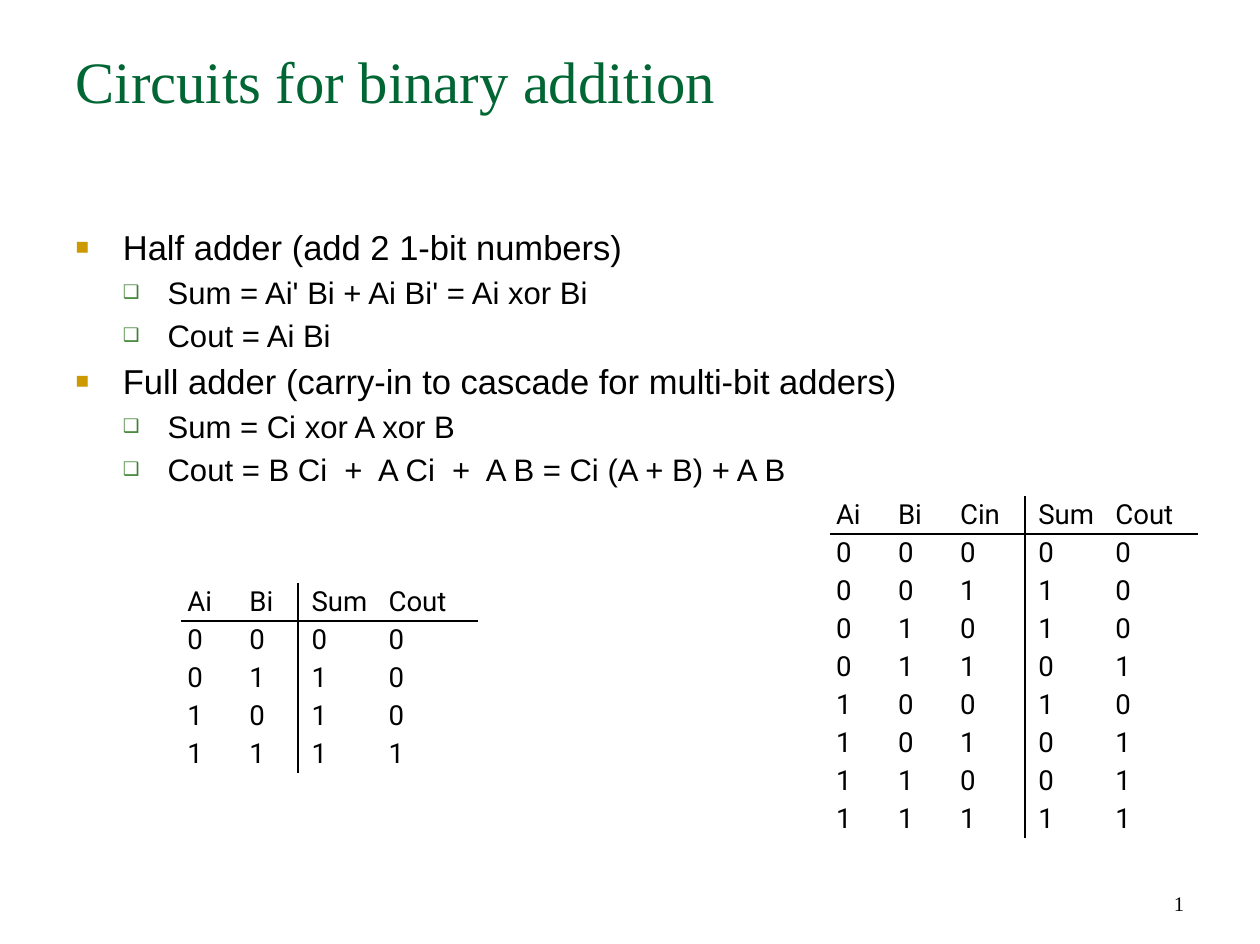
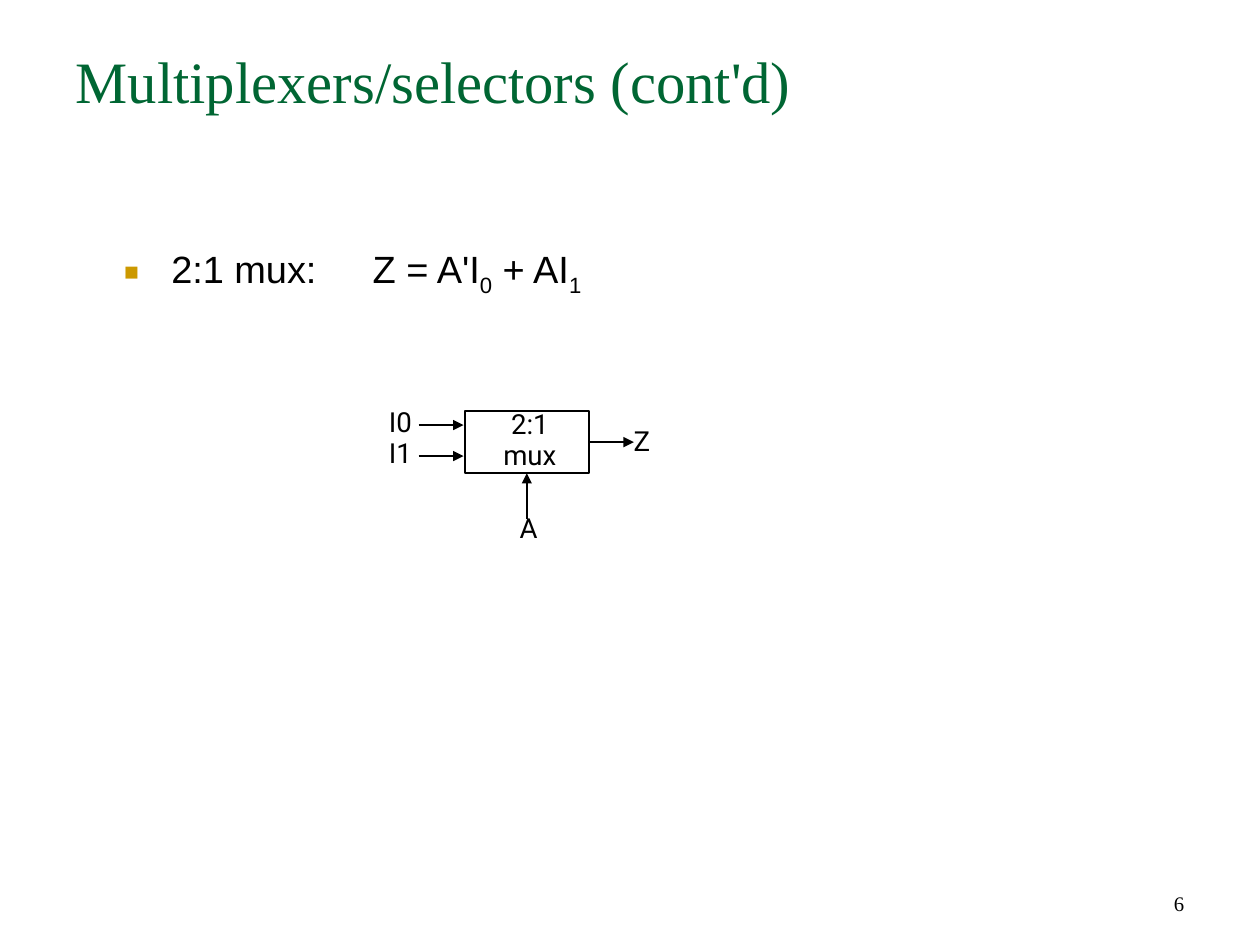
from dataclasses import dataclass
from itertools import cycle

from pptx import Presentation
from pptx.dml.color import RGBColor
from pptx.enum.shapes import MSO_CONNECTOR as Connector, MSO_SHAPE as Shape
from pptx.enum.text import MSO_ANCHOR as Anchor, MSO_AUTO_SIZE as AutoSize, PP_ALIGN as Align
from pptx.oxml.ns import qn
from pptx.oxml.xmlchemy import OxmlElement
from pptx.util import Inches, Pt


@dataclass(frozen=True)
class Theme:
    ink: str = "000000"
    green: str = "006633"
    bullets: tuple = (("■", "CC9900", 65000), ("❑", "3B812F", 60000))
    indents: tuple = ((0.38, 0.38), (0.74, 0.36))
    serif: str = "Times New Roman"
    sans: str = "Arial"
    diagram: str = "Roboto"
    title_size: int = 34
    number_size: int = 12
    point_sizes: tuple = (20, 18)
    equation_size: int = 22
    diagram_size: int = 16
    rule: float = 1


theme = Theme()
deck = Presentation()
deck.slide_width, deck.slide_height = Inches(10.14), Inches(7.6)


def place(*percents):
    sides = cycle((deck.slide_width, deck.slide_height))
    return [round(side * percent / 100) for percent, side in zip(percents, sides)]


def write(frame, text, font, size, color=theme.ink, align=Align.LEFT, inset=(0, 0)):
    frame.text = text
    frame.word_wrap = True
    frame.auto_size = AutoSize.NONE
    frame.margin_left = frame.margin_right = Inches(inset[0])
    frame.margin_top = frame.margin_bottom = Inches(inset[1])
    for paragraph in frame.paragraphs:
        paragraph.alignment = align
        for run in paragraph.runs:
            run.font.name, run.font.size = font, Pt(size)
            run.font.color.rgb = RGBColor.from_string(color)


PADDING = (0.1, 0.05)
main_size, detail_size = theme.point_sizes
pages = [
    ("Circuits for binary addition", "1", (5.03, 23.29), [
        (0, main_size, "Half adder (add 2 1-bit numbers)"),
        (1, detail_size, "Sum = Ai' Bi + Ai Bi' = Ai xor Bi"),
        (1, detail_size, "Cout = Ai Bi"),
        (0, main_size, "Full adder (carry-in to cascade for multi-bit adders)"),
        (1, detail_size, "Sum = Ci xor A xor B"),
        (1, detail_size, "Cout = B Ci  +  A Ci  +  A B = Ci (A + B) + A B"),
    ]),
    ("Multiplexers/selectors (cont'd)", "6", (8.88, 25.39), [
        (0, theme.equation_size, "2:1 mux:\tZ = A'I"),
    ]),
]

slides = []
for heading, number, corner, points in pages:
    slide = deck.slides.add_slide(deck.slide_layouts[5])
    slides.append(slide)
    title = slide.shapes.title
    title.left, title.top, title.width, title.height = place(5.03, 4.08, 89.94, 16.58)
    write(title.text_frame, heading, theme.serif, theme.title_size, theme.green, inset=PADDING)
    title.text_frame.vertical_anchor = Anchor.TOP

    footer = slide.shapes.add_textbox(*place(71.6, 90.95, 23.37, 6.71)).text_frame
    write(footer, number, theme.serif, theme.number_size, align=Align.RIGHT, inset=PADDING)
    footer.vertical_anchor = Anchor.BOTTOM

    body = slide.shapes.add_textbox(*place(*corner, 89.94, 66.05)).text_frame
    write(body, "\n".join(text for _, _, text in points), theme.sans, main_size, inset=PADDING)
    for index, (paragraph, (level, size, _)) in enumerate(zip(body.paragraphs, points)):
        paragraph.level = level
        paragraph.space_before = Pt(0.19 * size if index else 0)
        mark, mark_color, mark_size = theme.bullets[level]
        margin, hanging = theme.indents[level]
        properties = paragraph._p.get_or_add_pPr()
        properties.set("marL", str(Inches(margin)))
        properties.set("indent", str(-Inches(hanging)))
        color = OxmlElement("a:buClr")
        rgb = OxmlElement("a:srgbClr")
        rgb.set("val", mark_color)
        color.append(rgb)
        scale = OxmlElement("a:buSzPct")
        scale.set("val", str(mark_size))
        typeface = OxmlElement("a:buFont")
        typeface.set("typeface", theme.sans)
        bullet = OxmlElement("a:buChar")
        bullet.set("char", mark)
        properties.extend([color, scale, typeface, bullet])
        for run in paragraph.runs:
            run.font.size = Pt(size)

adders, mux = slides

equation = body.paragraphs[0]
for piece in ("0", " + AI", "1"):
    run = equation.add_run()
    run.text = piece
    run.font.name, run.font.size = theme.sans, Pt(theme.equation_size)
    run.font.color.rgb = RGBColor.from_string(theme.ink)
    if piece.isdigit():
        run.font._element.set("baseline", "-25000")

ROW = 4.02
lines = []
truth_tables = [
    (14.38, 61.8, 2, (4.93, 4.34, 6.71, 7.59), "Ai Bi Sum Cout",
     "0000 0110 1010 1111"),
    (65.86, 52.59, 3, (4.93, 4.93, 5.62, 6.71, 7), "Ai Bi Cin Sum Cout",
     "00000 00110 01010 01101 10010 10101 11001 11111"),
]
for left, top, inputs, widths, header, bits in truth_tables:
    rows = [header.split()] + [list(row) for row in bits.split()]
    right, bottom = left + sum(widths), top + ROW * len(rows)
    divider = left + sum(widths[:inputs])
    table = adders.shapes.add_table(
        len(rows), len(widths), *place(left, top, right - left, bottom - top)).table
    table.first_row = table.horz_banding = False
    table._tbl.tblPr.find(qn("a:tableStyleId")).text = "{2D5ABB26-0587-4C30-8999-92F81FD0307C}"
    for column, width in zip(table.columns, widths):
        column.width = place(width)[0]
    for r, values in enumerate(rows):
        table.rows[r].height = place(0, ROW)[1]
        for c, value in enumerate(values):
            cell = table.cell(r, c)
            write(cell.text_frame, value, theme.diagram, theme.diagram_size)
            cell.margin_left = place(1.08 if c == inputs else 0.49)[0]
            cell.margin_right = cell.margin_top = cell.margin_bottom = 0
            cell.vertical_anchor = Anchor.MIDDLE
            cell.fill.background()
    lines += [
        (adders, (left, top + ROW, right, top + ROW), None, None, False),
        (adders, (divider, top, divider, bottom), None, None, False),
    ]

selector = mux.shapes.add_shape(Shape.RECTANGLE, *place(36.88, 43.55, 9.86, 6.58))
selector.shadow.inherit = False
selector.fill.background()
selector.line.color.rgb = RGBColor.from_string(theme.ink)
selector.line.width = Pt(theme.rule)
write(selector.text_frame, "2:1\nmux", theme.diagram, theme.diagram_size, align=Align.CENTER)
selector.text_frame.vertical_anchor = Anchor.MIDDLE
selector.text_frame.margin_left = Inches(0.05)
selector.text_frame.margin_bottom = Inches(0.03)

signals = [("I0\nI1", 30.87, 43.16), ("A", 41.25, 54.34), ("Z", 50.3, 45.13)]
label_frames = [selector.text_frame]
for signal, left, top in signals:
    label = mux.shapes.add_textbox(*place(left, top, 2.5, 3.29 * len(signal.split()))).text_frame
    write(label, signal, theme.diagram, theme.diagram_size)
    label_frames.append(label)
for label in label_frames:
    for paragraph in label.paragraphs:
        paragraph.line_spacing = Pt(18)

lines += [
    (mux, (33.23, 45.03, 36.79, 45.03), None, None, True),
    (mux, (33.23, 48.32, 36.79, 48.32), None, None, True),
    (mux, (41.81, 55, 41.81, 50.13), None, 2, True),
    (mux, (46.74, 46.84, 50.3, 46.84), 3, None, True),
]
for slide, ends, start_side, end_side, pointed in lines:
    line = slide.shapes.add_connector(Connector.STRAIGHT, *place(*ends))
    if start_side is not None:
        line.begin_connect(selector, start_side)
    if end_side is not None:
        line.end_connect(selector, end_side)
    line.line.color.rgb = RGBColor.from_string(theme.ink)
    line.line.width = Pt(theme.rule)
    if pointed:
        arrowhead = OxmlElement("a:tailEnd")
        arrowhead.set("type", "triangle")
        line.line._get_or_add_ln().append(arrowhead)
    line._element.spPr.append(OxmlElement("a:effectLst"))

deck.save("out.pptx")
